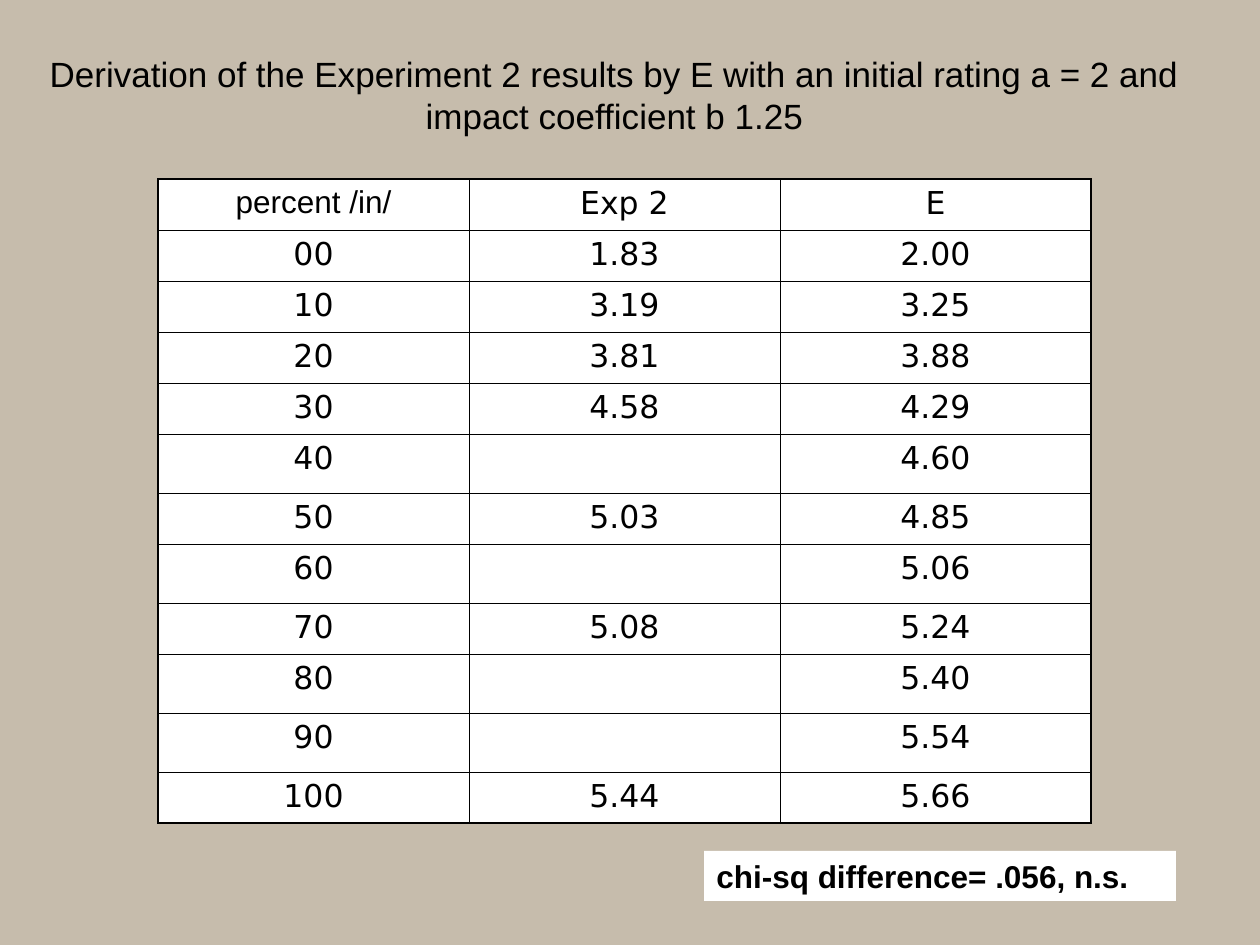
from dataclasses import dataclass

from lxml.etree import SubElement
from pptx import Presentation
from pptx.dml.color import RGBColor
from pptx.enum.shapes import MSO_SHAPE as Shape
from pptx.enum.text import MSO_ANCHOR as Anchor, PP_ALIGN as Align
from pptx.oxml.ns import qn
from pptx.util import Emu, Pt

EMU_PER_PX = 914400 / 126


def px(length):
    return Emu(round(length * EMU_PER_PX))


@dataclass(frozen=True)
class Theme:
    background: str = "C6BCAC"
    paper: str = "FFFFFF"
    ink: str = "000000"
    font: str = "Arial"
    data_font: str = "DejaVu Sans"
    title_size: int = 20
    body_size: int = 18
    outer_border: float = 1.08
    inner_border: float = 0.45


class SlideBuilder:
    def __init__(self, page, theme):
        self.page = page
        self.theme = theme
        page.background.fill.solid()
        page.background.fill.fore_color.rgb = RGBColor.from_string(theme.background)

    def paint(self, target):
        target.fill.solid()
        target.fill.fore_color.rgb = RGBColor.from_string(self.theme.paper)

    def add_text(self, frame, text, size, font, align=Align.CENTER, bold=False):
        para = frame.paragraphs[0]
        para.alignment = align
        span = para.add_run()
        span.text = text
        span.font.size = Pt(size)
        span.font.name = font
        span.font.bold = bold
        span.font.color.rgb = RGBColor.from_string(self.theme.ink)

    def title(self, text, left, top, width, height):
        box = self.page.shapes.add_textbox(px(left), px(top), px(width), px(height))
        frame = box.text_frame
        frame.word_wrap = True
        frame.vertical_anchor = Anchor.MIDDLE
        self.add_text(frame, text, self.theme.title_size, self.theme.font)

    def note(self, text, left, top, width, height):
        box = self.page.shapes.add_shape(
            Shape.RECTANGLE, px(left), px(top), px(width), px(height))
        box.shadow.inherit = False
        box.line.fill.background()
        self.paint(box)
        frame = box.text_frame
        frame.word_wrap = True
        frame.vertical_anchor = Anchor.TOP
        self.add_text(frame, text, self.theme.body_size, self.theme.font, Align.LEFT, True)

    def border(self, cell, outer_sides):
        """Draw the four sides, heavier on the table's outer edge."""
        properties = cell._tc.get_or_add_tcPr()
        for index, side in enumerate(("lnL", "lnR", "lnT", "lnB")):
            width = self.theme.outer_border if side in outer_sides else self.theme.inner_border
            line = properties.makeelement(qn(f"a:{side}"), {"w": str(int(Pt(width)))})
            fill = SubElement(line, qn("a:solidFill"))
            SubElement(fill, qn("a:srgbClr"), val=self.theme.ink)
            properties.insert(index, line)

    def table(self, rows, left, top, column_width, row_height, gap_row_height):
        heights = [row_height if all(row) else gap_row_height for row in rows]
        last_row, last_column = len(rows) - 1, len(rows[0]) - 1
        table = self.page.shapes.add_table(
            len(rows), len(rows[0]), px(left), px(top),
            px(column_width * len(rows[0])), px(sum(heights))).table
        table.first_row = table.horz_banding = False
        for column in table.columns:
            column.width = px(column_width)
        for r, row in enumerate(rows):
            table.rows[r].height = px(heights[r])
            for c, text in enumerate(row):
                cell = table.cell(r, c)
                self.paint(cell)
                edges = {"lnL": c == 0, "lnR": c == last_column,
                         "lnT": r == 0, "lnB": r == last_row}
                self.border(cell, [side for side, outer in edges.items() if outer])
                if text:
                    font = self.theme.font if r == c == 0 else self.theme.data_font
                    self.add_text(cell.text_frame, text, self.theme.body_size, font)


RATINGS = [
    ("percent /in/", "Exp 2", "E"),
    ("00", "1.83", "2.00"),
    ("10", "3.19", "3.25"),
    ("20", "3.81", "3.88"),
    ("30", "4.58", "4.29"),
    ("40", "", "4.60"),
    ("50", "5.03", "4.85"),
    ("60", "", "5.06"),
    ("70", "5.08", "5.24"),
    ("80", "", "5.40"),
    ("90", "", "5.54"),
    ("100", "5.44", "5.66"),
]


def main():
    deck = Presentation()
    deck.slide_width, deck.slide_height = px(1260), px(945)
    slide = SlideBuilder(deck.slides.add_slide(deck.slide_layouts[6]), Theme())

    # Heading
    slide.title("Derivation of the Experiment 2 results by E with an initial rating "
                "a = 2 and impact coefficient b 1.25", 0, 42, 1229, 105)

    # Observed and derived ratings
    slide.table(RATINGS, left=158, top=179, column_width=311,
                row_height=51, gap_row_height=59)

    # Test result
    slide.note("chi-sq difference= .056, n.s.", 704, 851, 472, 50)

    deck.save("out.pptx")


if __name__ == "__main__":
    main()
